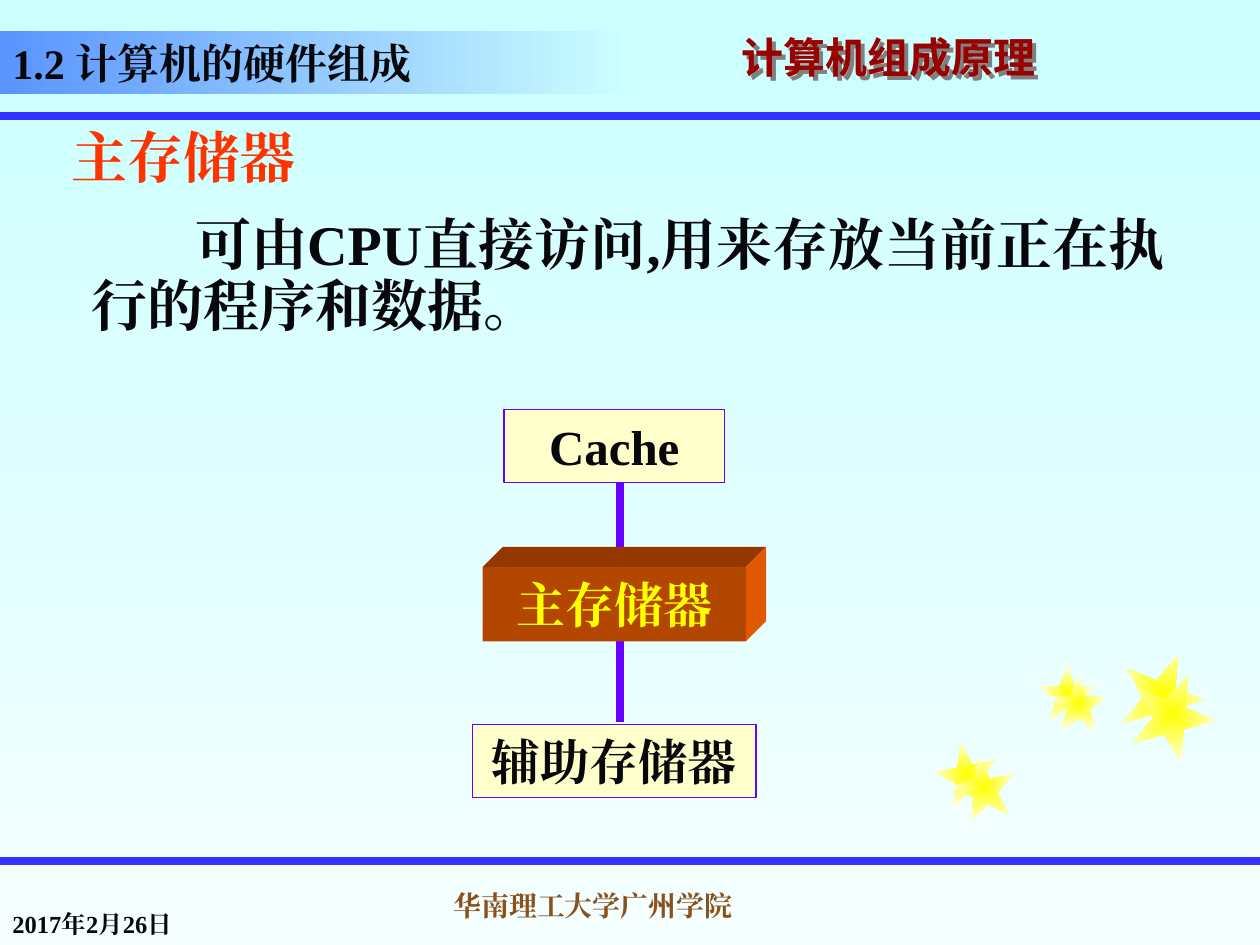
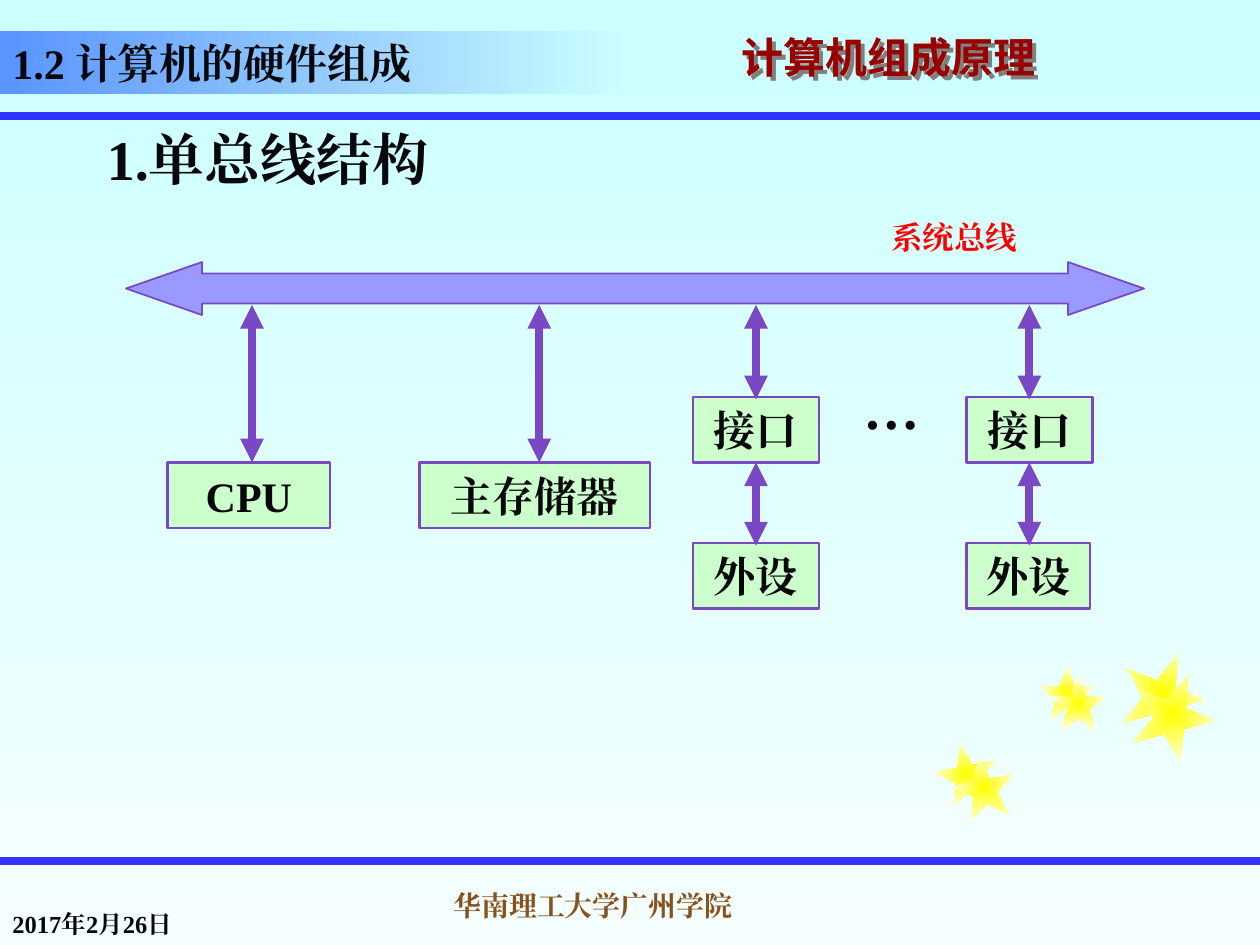
from pptx import Presentation
from pptx.dml.color import RGBColor
from pptx.enum.shapes import MSO_CONNECTOR, MSO_SHAPE
from pptx.enum.text import MSO_ANCHOR, PP_ALIGN
from pptx.oxml import parse_xml
from pptx.oxml.ns import nsdecls, qn
from pptx.util import Inches, Pt
from lxml.etree import SubElement

LATIN, CJK = "Times New Roman", "Noto Sans CJK SC"
INK, RULE, CREAM, MINT = "08080C", "3333FF", "FFFFCC", "CCFFCC"
VIOLET, PURPLE = "6600FF", "7A48C4"
STARS = [(7.42, 5.89, 0.5, 349), (8.24, 5.27, 0.46, 0), (8.89, 5.17, 0.67, 22),
         (7.56, 6, 0.5, 349), (8.33, 5.35, 0.46, 0), (8.97, 5.33, 0.67, 22)]


def color(hex_code):
    """Turn a hex string into a colour."""
    return RGBColor.from_string(hex_code)


def gradient(fill, start, end, angle=0):
    """Apply a two-stop linear gradient."""
    fill.gradient()
    fill.gradient_angle = angle
    for stop, hex_code in zip(fill.gradient_stops, (start, end)):
        stop.color.rgb = color(hex_code)


def write(paragraph, text, size, hex_code=INK, font=LATIN):
    """Add one bold run with the same face for Latin and Chinese."""
    run = paragraph.add_run()
    run.text = text
    run.font.size, run.font.bold, run.font.name = Pt(size), True, font
    run.font.color.rgb = color(hex_code)
    SubElement(run.font._element, qn("a:ea")).set("typeface", font)


def indent(paragraph, left, first):
    """Set the left margin and first-line indent in inches."""
    properties = paragraph._p.get_or_add_pPr()
    properties.set("marL", str(Inches(left)))
    properties.set("indent", str(Inches(first)))


def add_text(slide, at, text, size, hex_code=INK, anchor=MSO_ANCHOR.TOP,
             align=PP_ALIGN.LEFT, font=LATIN, wrap=True):
    """Add a text box holding one paragraph."""
    box = slide.shapes.add_textbox(*map(Inches, at))
    frame = box.text_frame
    frame.word_wrap, frame.vertical_anchor = wrap, anchor
    frame.paragraphs[0].alignment = align
    write(frame.paragraphs[0], text, size, hex_code, font)
    return box


def add_preset(slide, kind, at, fill=None, line=None, width=1):
    """Add a flat preset shape with optional fill and outline."""
    shape = slide.shapes.add_shape(kind, *map(Inches, at))
    shape.shadow.inherit = False
    if fill:
        shape.fill.solid()
        shape.fill.fore_color.rgb = color(fill)
    if line:
        shape.line.color.rgb = color(line)
        shape.line.width = Pt(width)
    else:
        shape.line.fill.background()
    return shape


def add_box(slide, at, text, size, fill, line=None, width=1, ink=INK):
    """Add a rectangle with a centred label."""
    box = add_preset(slide, MSO_SHAPE.RECTANGLE, at, fill, line, width)
    frame = box.text_frame
    frame.word_wrap, frame.vertical_anchor = True, MSO_ANCHOR.MIDDLE
    frame.paragraphs[0].alignment = PP_ALIGN.CENTER
    write(frame.paragraphs[0], text, size, ink)


def add_line(slide, start, end, hex_code, arrows=False):
    """Add a thick straight line, with arrowheads at both ends on request."""
    line = slide.shapes.add_connector(
        MSO_CONNECTOR.STRAIGHT, *map(Inches, (*start, *end)))
    line.line.color.rgb = color(hex_code)
    line.line.width = Pt(4.5)
    if arrows:
        for tag in ("a:headEnd", "a:tailEnd"):
            SubElement(line.line._get_or_add_ln(), qn(tag)).set("type", "triangle")
    SubElement(line._element.spPr, qn("a:effectLst"))


def add_star(slide, left, top, size, rotation):
    """Add a star that fades from its centre."""
    star = add_preset(slide, MSO_SHAPE.STAR_5_POINT, (left, top, size, size))
    star.rotation = rotation
    gradient(star.fill, "FFFF00", "FFFFF5")
    linear = star._element.spPr.find(qn("a:gradFill")).find(qn("a:lin"))
    linear.getparent().replace(linear, parse_xml(
        f'<a:path {nsdecls("a")} path="shape">'
        '<a:fillToRect l="50000" t="50000" r="50000" b="50000"/></a:path>'))


def add_face(slide, points, fill):
    """Add one side face of the raised block."""
    corners = [tuple(map(Inches, point)) for point in points]
    builder = slide.shapes.build_freeform(*corners[0])
    builder.add_line_segments(corners[1:], close=True)
    face = builder.convert_to_shape()
    face.shadow.inherit = False
    face.fill.solid()
    face.fill.fore_color.rgb = color(fill)
    face.line.fill.background()


def add_block(slide, at, depth, text):
    """Add a raised block with a labelled front."""
    left, top, width, height = at
    right, bottom = left + width, top + height
    add_face(slide, [(left, top), (left + depth, top - depth),
                     (right + depth, top - depth), (right, top)], "943800")
    add_face(slide, [(right, top), (right + depth, top - depth),
                     (right + depth, bottom - depth), (right, bottom)], "E05800")
    add_box(slide, at, text, 28, "B34700", ink="FFFF00")


def new_slide(deck):
    """Start a slide with the shared background, bands, stars and footer."""
    slide = deck.slides.add_slide(deck.slide_layouts[6])
    gradient(slide.background.fill, "CCFFFF", "F5FFFF", 270)
    for y in (0.92, 6.83):
        add_line(slide, (0, y), (10, y), RULE)
    for star in STARS:
        add_star(slide, *star)
    add_text(slide, (3.5, 6.96, 2.44, 0.41), "华南理工大学广州学院", 16, "87521D",
             MSO_ANCHOR.BOTTOM)
    course = add_text(slide, (5.79, 0.25, 4.21, 0.5), "计算机组成原理", 24, "990000",
                      MSO_ANCHOR.MIDDLE, font=CJK)
    course.text_frame.paragraphs[0].line_spacing = 0.7
    course._element.spPr.append(parse_xml(
        f'<a:effectLst {nsdecls("a")}><a:outerShdw dist="35921" dir="2700000">'
        '<a:srgbClr val="808080"/></a:outerShdw></a:effectLst>'))
    add_text(slide, (0, 7, 2.08, 0.5), "2017年2月26日", 14, anchor=MSO_ANCHOR.BOTTOM)
    band = add_preset(slide, MSO_SHAPE.RECTANGLE, (0, 0.25, 5, 0.5))
    gradient(band.fill, "5994FF", "CCFFFF")
    band.text_frame.vertical_anchor = MSO_ANCHOR.BOTTOM
    heading = band.text_frame.paragraphs[0]
    heading.alignment = PP_ALIGN.LEFT
    write(heading, "1.2 计算机的硬件组成", 24)
    return slide


def memory_slide(deck):
    """Show main memory between the cache and auxiliary storage."""
    slide = new_slide(deck)
    add_box(slide, (4, 3.25, 1.75, 0.58), "Cache", 28, CREAM, VIOLET)
    add_box(slide, (3.75, 5.75, 2.25, 0.58), "辅助存储器", 28, CREAM, VIOLET)
    for top, bottom in ((3.83, 4.5), (5.08, 5.73)):
        add_line(slide, (4.92, top), (4.92, bottom), VIOLET)
    definition = add_text(slide, (0.25, 0.92, 9.17, 1.92), "主存储器", 32, "FF3300")
    indent(definition.text_frame.paragraphs[0], 0.22, 0)
    body = definition.text_frame.add_paragraph()
    indent(body, 0.38, 0.82)
    body.line_spacing, body.space_before = 0.9, Pt(16)
    write(body, "可由CPU直接访问,用来存放当前正在执行的程序和数据。".replace(",", ","), 32)
    add_block(slide, (3.83, 4.5, 2.09, 0.59), 0.16, "主存储器")


def bus_slide(deck):
    """Show the units that hang from a single system bus."""
    slide = new_slide(deck)
    bus = add_preset(slide, MSO_SHAPE.LEFT_RIGHT_ARROW, (1, 2.08, 8.08, 0.42),
                     "9999FF", PURPLE)
    bus.adjustments[0], bus.adjustments[1] = 0.567, 1.435
    for left, width, x, name in ((1.33, 1.29, 2, "CPU"), (3.33, 1.83, 4.28, "主存储器")):
        add_box(slide, (left, 3.67, width, 0.52), name, 24, MINT, PURPLE, 1.5)
        add_line(slide, (x, 3.67), (x, 2.42), PURPLE, arrows=True)
    for x, device_width in ((6, 1), (8.17, 0.98)):
        add_box(slide, (x - 0.5, 3.15, 1, 0.52), "接口", 24, MINT, PURPLE, 1.5)
        add_box(slide, (x - 0.5, 4.31, device_width, 0.52), "外设", 24, MINT, PURPLE, 1.5)
        for top, bottom in ((2.42, 3.17), (3.67, 4.33)):
            add_line(slide, (x, top), (x, bottom), PURPLE, arrows=True)
    for at, text, size, ink in (((6.75, 2.92, 0.65, 0.63), "…", 32, INK),
                                ((6.97, 1.68, 1.21, 0.4), "系统总线", 18, "FF0000")):
        add_text(slide, at, text, size, ink, MSO_ANCHOR.MIDDLE, PP_ALIGN.CENTER,
                 wrap=False)
    topic = add_text(slide, (0.75, 0.94, 8.5, 0.73), "1.单总线结构", 32)
    indent(topic.text_frame.paragraphs[0], 0.38, -0.38)


def main():
    """Build and save the deck."""
    deck = Presentation()
    deck.slide_width, deck.slide_height = Inches(10), Inches(7.5)
    memory_slide(deck)
    bus_slide(deck)
    deck.save("out.pptx")


main()
